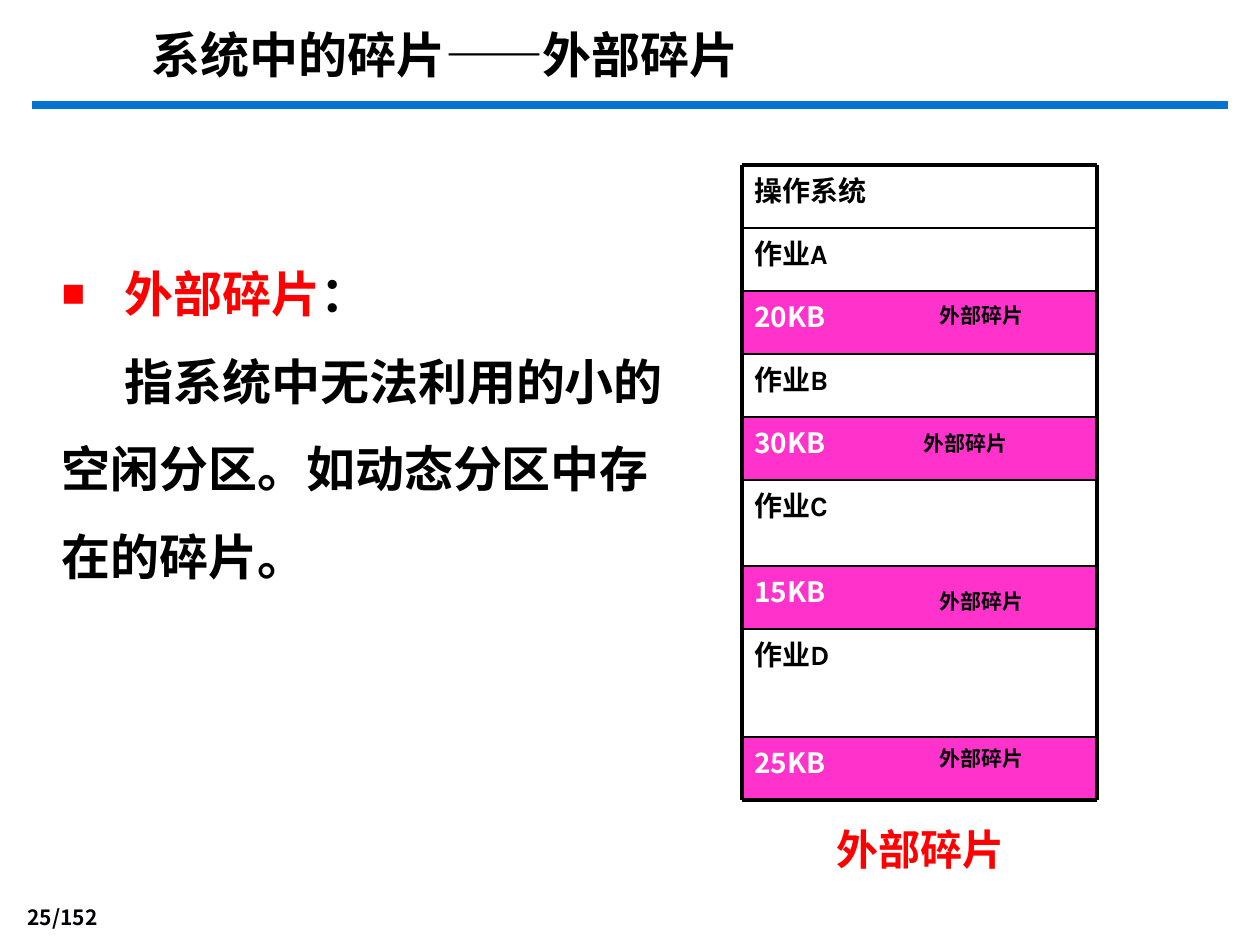
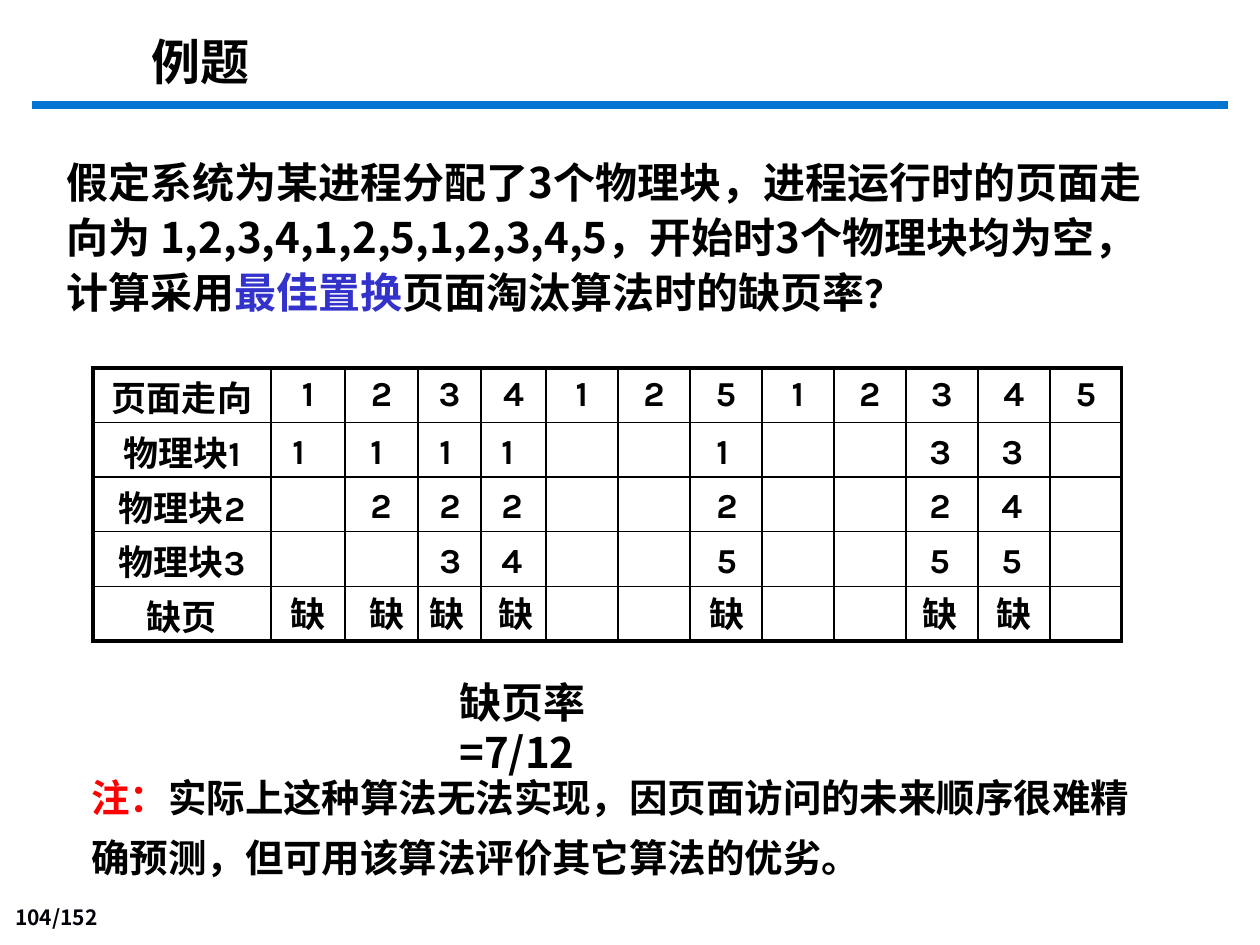
from dataclasses import dataclass
from itertools import accumulate
from typing import NamedTuple

from lxml.etree import SubElement
from pptx import Presentation
from pptx.dml.color import RGBColor
from pptx.enum.shapes import MSO_CONNECTOR as CONN, MSO_SHAPE as SHAPE
from pptx.enum.text import MSO_ANCHOR as ANCHOR, MSO_AUTO_SIZE as AUTO, PP_ALIGN as ALIGN
from pptx.oxml.ns import qn
from pptx.util import Emu, Pt

PX_PER_INCH = 126


def px(n: float) -> Emu:
    return Emu(round(n * 914400 / PX_PER_INCH))


@dataclass(frozen=True)
class Theme:
    ink: str = "000000"
    page_ink: str = "000008"
    white: str = "FFFFFF"
    red: str = "FF0000"
    blue: str = "3333CC"
    rule: str = "0574D0"
    free: str = "FF33CC"
    cjk: str = "Noto Sans CJK SC"
    page_font: str = "Noto Sans CJK JP"
    label: str = "Karla"
    title_size: int = 28
    body_size: int = 24
    note_size: int = 22
    table_size: int = 20
    block_size: int = 16
    small_size: int = 12
    thick: float = 2.25
    thin: float = 1
    tight: float = 1.2
    loose: float = 1.3


T = Theme()


class Box(NamedTuple):
    x: int
    y: int
    w: int
    h: int


class Style(NamedTuple):
    size: int
    font: str = T.cjk
    color: str = T.ink
    line: float = T.loose  # line height in ems
    drop: int = 0          # extra space above the first line, px


class Run(NamedTuple):
    text: str
    color: str = ""
    size: int = 0


class Block(NamedTuple):
    label: str
    height: int = 63
    free: bool = False
    tag_x: int = 927
    tag_dy: int = 0


class Step(NamedTuple):
    """Frame contents after one page reference that misses."""
    x: int
    frames: str
    miss_x: int


# ---- text and lines ----
def write(p, runs: list[Run], st: Style) -> None:
    p.line_spacing = Pt(st.size * st.line)
    p.space_before = Pt(0)
    for run in runs:
        r = p.add_run()
        r.text = run.text
        f = r.font
        f.size, f.bold, f.name = Pt(run.size or st.size), True, st.font
        f.color.rgb = RGBColor.from_string(run.color or st.color)
        ea = T.page_font if st.font == T.page_font else T.cjk
        SubElement(r._r.get_or_add_rPr(), qn("a:ea"), typeface=ea)


def fill_text(sp, paras: list[list[Run]], st: Style,
              align=ALIGN.LEFT, anchor=ANCHOR.TOP) -> None:
    tf = sp.text_frame
    tf.word_wrap, tf.auto_size, tf.vertical_anchor = True, AUTO.NONE, anchor
    tf.margin_left = tf.margin_right = px(12.6)
    tf.margin_top, tf.margin_bottom = px(6 + st.drop), px(6)
    for i, runs in enumerate(paras):
        p = tf.add_paragraph() if i else tf.paragraphs[0]
        p.alignment = align
        write(p, runs, st)


def add_text(slide, box: Box, text: str | list[Run], st: Style, **kw) -> None:
    runs = [Run(text)] if isinstance(text, str) else text
    fill_text(slide.shapes.add_textbox(*map(px, box)), [runs], st, **kw)


def fill_placeholder(sp, box: Box, paras: list[list[Run]], st: Style) -> None:
    sp.left, sp.top, sp.width, sp.height = map(px, box)
    fill_text(sp, paras, st)
    for p in sp.text_frame.paragraphs:
        indent(p, 0, 0)


def indent(p, left: int, first: int, bullet: str = "") -> None:
    pPr = p._p.get_or_add_pPr()
    pPr.set("marL", str(px(left)))
    pPr.set("indent", str(px(first)))
    for tag in ("a:buClr", "a:buSzPct", "a:buNone", "a:buChar"):
        for old in pPr.findall(qn(tag)):
            pPr.remove(old)
    if bullet:
        SubElement(SubElement(pPr, qn("a:buClr")), qn("a:srgbClr"), val=T.red)
        SubElement(pPr, qn("a:buSzPct"), val="80000")
        SubElement(pPr, qn("a:buChar"), char=bullet)
    else:
        SubElement(pPr, qn("a:buNone"))


def add_line(slide, x1: int, y1: int, x2: int, y2: int,
             width: float, color: str = T.ink) -> None:
    c = slide.shapes.add_connector(CONN.STRAIGHT, px(x1), px(y1), px(x2), px(y2))
    c.line.width = Pt(width)
    c.line.color.rgb = RGBColor.from_string(color)
    SubElement(c._element.spPr, qn("a:effectLst"))


# ---- shared frame of every slide ----
def new_slide(prs, title: str, title_box: Box, font: str, page: str):
    slide = prs.slides.add_slide(prs.slide_layouts[1])
    add_line(slide, 32, 105, 1228, 105, 4.5, T.rule)
    add_text(slide, Box(0, 900, 110, 36), page,
             Style(T.small_size, T.page_font, T.page_ink, T.tight),
             align=ALIGN.RIGHT, anchor=ANCHOR.BOTTOM)
    fill_placeholder(slide.shapes.title, title_box, [[Run(title)]],
                     Style(T.title_size, font))
    return slide


# ---- slide 1: external fragments ----
BLOCKS = [
    Block("操作系统"),
    Block("作业A"),
    Block("20KB", free=True, tag_dy=3),
    Block("作业B"),
    Block("30KB", free=True, tag_x=911, tag_dy=5),
    Block("作业C", 86),
    Block("15KB", free=True, tag_dy=14),
    Block("作业D", 108),
    Block("25KB", free=True),
]


def draw_memory(slide, x: int, y: int, w: int) -> None:
    edges = list(accumulate((b.height for b in BLOCKS), initial=y))
    for b, top in zip(BLOCKS, edges):
        box = Box(x, top, w, b.height)
        if b.free:
            sp = slide.shapes.add_shape(SHAPE.RECTANGLE, *map(px, box))
            sp.shadow.inherit = False
            sp.fill.solid()
            sp.fill.fore_color.rgb = RGBColor.from_string(T.free)
            sp.line.fill.background()
            fill_text(sp, [[Run(b.label)]], Style(T.block_size, color=T.white))
            add_text(slide, Box(b.tag_x, top + b.tag_dy, 186, 40), "外部碎片",
                     Style(T.small_size, T.label))
        else:
            add_text(slide, box, b.label, Style(T.block_size, T.label))
    for edge in edges:
        outer = edge in (edges[0], edges[-1])
        add_line(slide, x, edge, x + w, edge, T.thick if outer else T.thin)
    for side in (x, x + w):
        add_line(slide, side, edges[0], side, edges[-1], T.thick)


def fragment_slide(prs) -> None:
    slide = new_slide(prs, "系统中的碎片——外部碎片", Box(139, 14, 635, 72),
                      "Arial", "25/152")
    body = slide.placeholders[1]
    fill_placeholder(body, Box(49, 224, 630, 367), [
        [Run("外部碎片", T.red), Run("：")],
        [Run("指系统中无法利用的小的空闲分区。如动态分区中存在的碎片。")],
    ], Style(T.title_size, line=50 / T.title_size, drop=5))
    head, text = body.text_frame.paragraphs
    indent(head, 63, -63, "■")
    indent(text, 0, 63)
    draw_memory(slide, 742, 165, 355)
    add_text(slide, Box(824, 813, 252, 63), "外部碎片",
             Style(T.body_size, color=T.red))


# ---- slide 2: page replacement exercise ----
PAGES = "123412512345"
ROW_HEADS = ["页面走向", "物理块1", "物理块2", "物理块3", "缺页"]
COL_WIDTHS = [178, 74, 73, 63, 65] + [72] * 8
TABLE_X, TABLE_Y, ROW_H = 93, 368, 54.6
STEPS = [
    Step(280, "1", 278),
    Step(358, "12", 357),
    Step(427, "123", 417),
    Step(489, "124", 486),
    Step(704, "125", 697),
    Step(917, "325", 910),
    Step(989, "345", 984),
]


def style_cell(cell, row: int, col: int) -> None:
    tcPr = cell._tc.get_or_add_tcPr()
    outer = {"L": col == 0, "R": col == len(COL_WIDTHS) - 1,
             "T": row == 0, "B": row == len(ROW_HEADS) - 1}
    for side, thick in outer.items():
        width = Pt(T.thick if thick else T.thin)
        ln = SubElement(tcPr, qn(f"a:ln{side}"), w=str(width))
        SubElement(SubElement(ln, qn("a:solidFill")), qn("a:srgbClr"), val=T.ink)
    cell.fill.background()
    cell.margin_left = cell.margin_right = px(6)
    cell.margin_top, cell.margin_bottom = px(5 if col else 12), 0


def draw_table(slide) -> None:
    frame = slide.shapes.add_table(
        len(ROW_HEADS), len(COL_WIDTHS), px(TABLE_X), px(TABLE_Y),
        px(sum(COL_WIDTHS)), px(ROW_H * len(ROW_HEADS)))
    table = frame.table
    table.first_row = table.horz_banding = False
    for col, width in zip(table.columns, COL_WIDTHS):
        col.width = px(width)
    st = Style(T.table_size, T.label, line=T.tight)
    for i, head in enumerate(ROW_HEADS):
        table.rows[i].height = px(ROW_H)
        texts = [head, *(PAGES if i == 0 else " " * len(PAGES))]
        for j, text in enumerate(texts):
            cell = table.cell(i, j)
            style_cell(cell, i, j)
            if text.strip():
                p = cell.text_frame.paragraphs[0]
                p.alignment = ALIGN.CENTER
                write(p, [Run(text)], st)
    # Frame contents and misses, one column per step
    row_y = [round(TABLE_Y + ROW_H * i) for i in range(len(ROW_HEADS))]
    for step in STEPS:
        for y, page in zip(row_y[1:], step.frames):
            add_text(slide, Box(step.x, y, 52, 54), page, st)
        add_text(slide, Box(step.miss_x, row_y[-1], 62, 54), "缺", st)


def exercise_slide(prs) -> None:
    slide = new_slide(prs, "例题", Box(139, 21, 1042, 72),
                      "Times New Roman", "104/152")
    fill_placeholder(slide.placeholders[1], Box(54, 140, 1106, 180), [[
        Run("假定系统为某进程分配了3个物理块，进程运行时的页面走向为 "
            "1,2,3,4,1,2,5,1,2,3,4,5，开始时3个物理块均为空，计算采用"),
        Run("最佳置换", T.blue),
        Run("页面淘汰算法时的缺页率"),
        Run("？", size=T.note_size),
    ]], Style(T.body_size, line=1.1 * T.tight, drop=5))
    draw_table(slide)
    add_text(slide, Box(447, 665, 258, 63), "缺页率=7/12",
             Style(T.body_size, line=T.tight, drop=5))
    add_text(slide, Box(79, 751, 1081, 134), [
        Run("注：", T.red),
        Run("实际上这种算法无法实现，因页面访问的未来顺序很难精确预测，"
            "但可用该算法评价其它算法的优劣。"),
    ], Style(T.note_size, line=1.3 * T.tight, drop=3))


def main() -> None:
    prs = Presentation()
    prs.slide_width, prs.slide_height = px(1260), px(945)
    fragment_slide(prs)
    exercise_slide(prs)
    prs.save("out.pptx")


if __name__ == "__main__":
    main()
